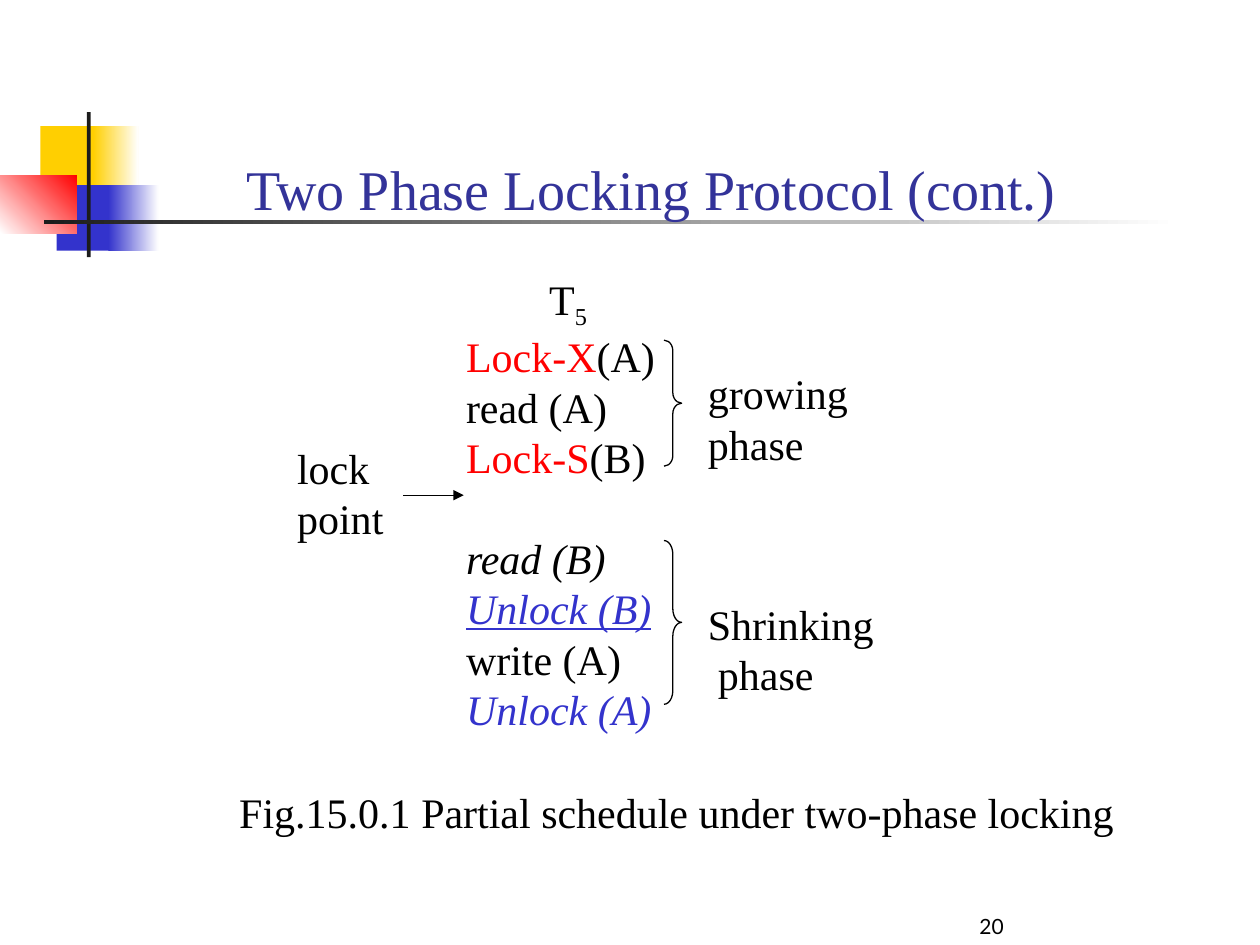
from dataclasses import dataclass

from lxml import etree
from pptx import Presentation
from pptx.dml.color import RGBColor
from pptx.enum.shapes import MSO_CONNECTOR, MSO_SHAPE
from pptx.enum.text import MSO_ANCHOR, PP_ALIGN
from pptx.oxml.ns import qn
from pptx.slide import Slide
from pptx.util import Inches, Pt

RECTANGLE = MSO_SHAPE.RECTANGLE
RIGHT_BRACE = MSO_SHAPE.RIGHT_BRACE
STRAIGHT = MSO_CONNECTOR.STRAIGHT
TOP, BOTTOM = MSO_ANCHOR.TOP, MSO_ANCHOR.BOTTOM
LEFT, CENTER = PP_ALIGN.LEFT, PP_ALIGN.CENTER


@dataclass(frozen=True)
class Theme:
    black: str = "000000"
    white: str = "FFFFFF"
    charcoal: str = "1C1C1C"
    yellow: str = "FFCF01"
    blue: str = "3333CC"
    red: str = "FF0000"
    title: str = "333399"
    serif: str = "Times New Roman"
    sans: str = "Lato"
    title_size: int = 32
    body_size: int = 24
    number_size: int = 12
    line_width: float = 0.75


THEME = Theme()


@dataclass(frozen=True)
class Box:
    left: float
    top: float
    width: float
    height: float

    def lengths(self) -> tuple:
        return tuple(map(Inches, (self.left, self.top, self.width, self.height)))


@dataclass(frozen=True)
class Block:
    """A decorative rectangle; an end colour makes it a gradient."""
    box: Box
    color: str
    end_color: str | None = None
    angle: int = 0


@dataclass(frozen=True)
class Span:
    text: str
    color: str = THEME.black
    italic: bool = False
    underline: bool = False
    subscript: bool = False


@dataclass(frozen=True)
class Line:
    spans: tuple[Span, ...]
    indent: float = 0
    space_before: float = 0


@dataclass(frozen=True)
class TextStyle:
    font: str = THEME.serif
    size: int = THEME.body_size
    align: PP_ALIGN = LEFT
    anchor: MSO_ANCHOR = TOP


BODY = TextStyle()
TITLE = TextStyle(size=THEME.title_size, align=CENTER, anchor=BOTTOM)
NUMBER = TextStyle(THEME.sans, THEME.number_size, CENTER, BOTTOM)

BLOCKS = (
    Block(Box(0.32, 1, 0.48, 0.52), THEME.yellow),
    Block(Box(0.74, 1, 0.36, 0.52), THEME.yellow, THEME.white),
    Block(Box(0.45, 1.47, 0.46, 0.52), THEME.blue),
    Block(Box(0.86, 1.47, 0.4, 0.52), THEME.blue, THEME.white),
    Block(Box(0, 1.39, 0.61, 0.46), THEME.white, THEME.red, 45),
    Block(Box(0.69, 0.89, 0.03, 1.15), THEME.charcoal),
    Block(Box(0.35, 1.75, 9, 0.03), THEME.charcoal, THEME.white),
)

SCHEDULE = (
    Line((Span("T"), Span("5", subscript=True)), indent=0.66),
    Line((Span("Lock-X", THEME.red), Span("(A)"))),
    Line((Span("read (A)"),)),
    Line((Span("Lock-S", THEME.red), Span("(B)"))),
    Line((Span("read (B)", italic=True),), space_before=28.8),
    Line((Span("Unlock (B)", THEME.blue, italic=True, underline=True),)),
    Line((Span("write (A)"),)),
    Line((Span("Unlock (A)", THEME.blue, italic=True),)),
)

TEXTS = (
    (Box(3.6, 2.12, 2.15, 4.16), SCHEDULE, BODY),
    (Box(2.26, 3.46, 0.94, 0.9),
     (Line((Span("lock"),)), Line((Span("point"),))), BODY),
    (Box(5.52, 2.87, 1.39, 0.9),
     (Line((Span("growing"),)), Line((Span("phase"),))), BODY),
    (Box(5.52, 4.7, 1.6, 0.9),
     (Line((Span("Shrinking"),)), Line((Span("phase"),), indent=0.08)), BODY),
    (Box(1.8, 6.19, 7.22, 0.5),
     (Line((Span("Fig.15.0.1 Partial schedule under two-phase locking"),)),), BODY),
    (Box(1.71, 0.49, 6.92, 1.32),
     (Line((Span("Two Phase Locking Protocol (cont.)", THEME.title),)),), TITLE),
    (Box(6.83, 7, 2.08, 0.5), (Line((Span("20"),)),), NUMBER),
)

PHASE_BRACES = (Box(5.27, 2.7, 0.14, 1), Box(5.27, 4.29, 0.14, 1.3))


def rgb(color: str) -> RGBColor:
    return RGBColor.from_string(color)


def draw_block(slide: Slide, block: Block) -> None:
    shape = slide.shapes.add_shape(RECTANGLE, *block.box.lengths())
    shape.shadow.inherit = False
    shape.line.fill.background()
    if block.end_color is None:
        shape.fill.solid()
        shape.fill.fore_color.rgb = rgb(block.color)
        return
    shape.fill.gradient()
    shape.fill.gradient_angle = block.angle
    for stop, color in zip(shape.fill.gradient_stops, (block.color, block.end_color)):
        stop.color.rgb = rgb(color)


def draw_text(slide: Slide, box: Box, lines: tuple[Line, ...], style: TextStyle) -> None:
    frame = slide.shapes.add_textbox(*box.lengths()).text_frame
    frame.word_wrap = True
    frame.vertical_anchor = style.anchor
    for index, line in enumerate(lines):
        paragraph = frame.add_paragraph() if index else frame.paragraphs[0]
        paragraph.alignment = style.align
        if line.indent:
            paragraph._p.get_or_add_pPr().set("marL", str(Inches(line.indent)))
        if line.space_before:
            paragraph.space_before = Pt(line.space_before)
        for span in line.spans:
            run = paragraph.add_run()
            run.text = span.text
            run.font.name = style.font
            run.font.size = Pt(style.size)
            run.font.color.rgb = rgb(span.color)
            run.font.italic = span.italic
            run.font.underline = span.underline
            if span.subscript:
                run.font._element.set("baseline", "-25000")


def draw_brace(slide: Slide, box: Box) -> None:
    """Draw a right brace whose curves are each a twelfth of its height."""
    brace = slide.shapes.add_shape(RIGHT_BRACE, *box.lengths())
    brace.shadow.inherit = False
    brace.adjustments[0] = box.height / 12 / box.width
    brace.fill.background()
    brace.line.color.rgb = rgb(THEME.black)
    brace.line.width = Pt(THEME.line_width)


def draw_arrow(slide: Slide, left: float, right: float, y: float) -> None:
    arrow = slide.shapes.add_connector(
        STRAIGHT, Inches(left), Inches(y), Inches(right), Inches(y))
    arrow.line.color.rgb = rgb(THEME.black)
    arrow.line.width = Pt(THEME.line_width)
    etree.SubElement(arrow.line._get_or_add_ln(), qn("a:tailEnd"), type="triangle")
    etree.SubElement(arrow._element.spPr, qn("a:effectLst"))


def main() -> None:
    deck = Presentation()
    deck.slide_width, deck.slide_height = Inches(10), Inches(7.5)
    slide = deck.slides.add_slide(deck.slide_layouts[6])
    for block in BLOCKS:
        draw_block(slide, block)
    for box, lines, style in TEXTS:
        draw_text(slide, box, lines, style)
    for box in PHASE_BRACES:
        draw_brace(slide, box)
    draw_arrow(slide, 3.2, 3.68, 3.93)
    deck.save("out.pptx")


if __name__ == "__main__":
    main()
